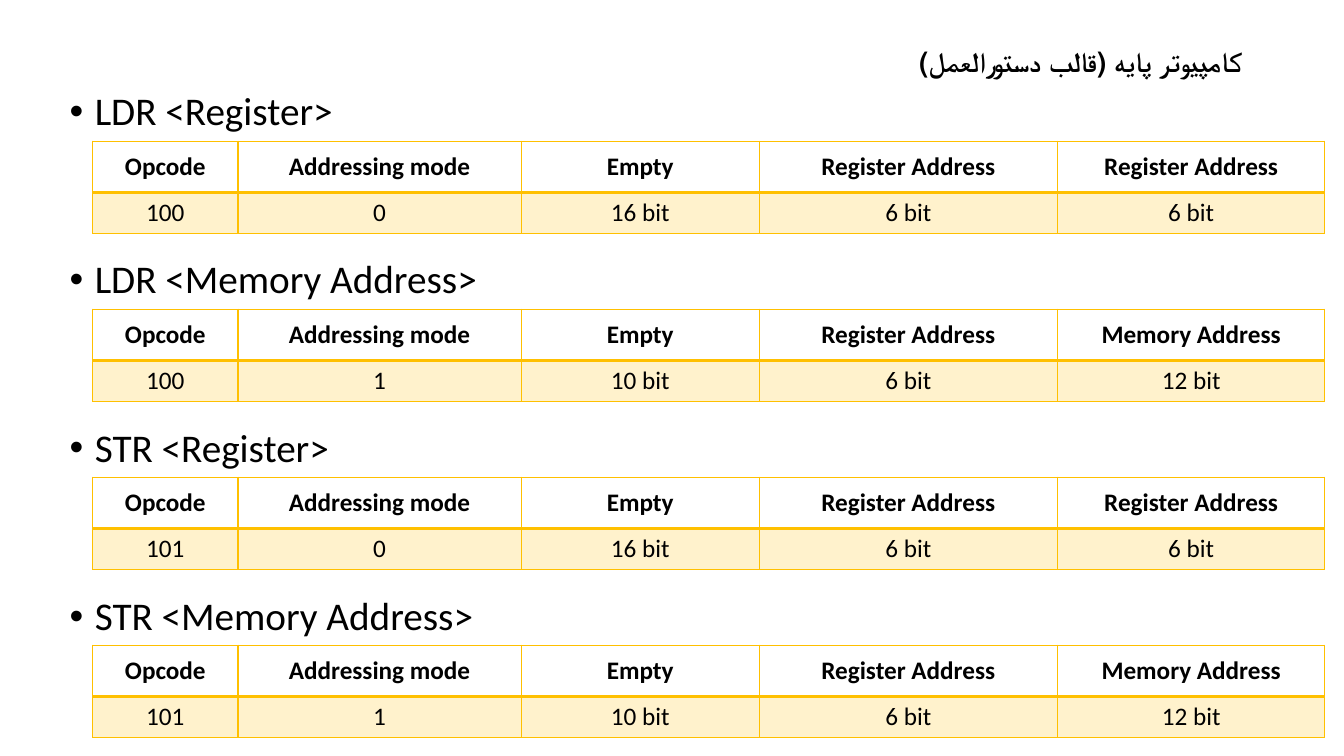
from lxml import etree
from pptx import Presentation
from pptx.dml.color import RGBColor
from pptx.enum import text
from pptx.oxml import ns
from pptx.util import Inches, Pt

BLACK = RGBColor(0x00, 0x00, 0x00)
GOLD = RGBColor(0xFF, 0xC0, 0x00)
FONT = "Calibri"
COLUMN_WIDTHS = (1.44, 2.81, 2.36, 2.96, 2.65)
ROW_HEIGHTS = (0.51, 0.41)
TABLE_PITCH = 5 / 3
INSTRUCTIONS = (
    ("LDR <Register>", "Register Address", ("100", "0", "16 bit", "6 bit", "6 bit")),
    ("LDR <Memory Address>", "Memory Address", ("100", "1", "10 bit", "6 bit", "12 bit")),
    ("STR <Register>", "Register Address", ("101", "0", "16 bit", "6 bit", "6 bit")),
    ("STR <Memory Address>", "Memory Address", ("101", "1", "10 bit", "6 bit", "12 bit")),
)


def place(shape, left, top, width, height):
    """Move a placeholder to a box given in inches."""
    shape.left, shape.top = Inches(left), Inches(top)
    shape.width, shape.height = Inches(width), Inches(height)


def style_font(paragraph, size, bold=False):
    """Apply the slide's font to a paragraph."""
    font = paragraph.font
    font.name, font.size, font.bold = FONT, Pt(size), bold
    font.color.rgb = BLACK


def add_title(slide, left, top, width, height):
    """Fill the title placeholder with right-to-left text."""
    title = slide.shapes.title
    place(title, left, top, width, height)
    frame = title.text_frame
    frame.text = "کامپیوتر پایه (قالب دستورالعمل)"
    frame.auto_size = text.MSO_AUTO_SIZE.NONE
    frame.vertical_anchor = text.MSO_ANCHOR.MIDDLE
    paragraph = frame.paragraphs[0]
    paragraph.alignment = text.PP_ALIGN.RIGHT
    paragraph.line_spacing = 0.9
    paragraph._p.get_or_add_pPr().set("rtl", "1")
    style_font(paragraph, 20, True)


def add_instruction_list(slide, left, top, width, height):
    """Fill the body placeholder with one spaced bullet per instruction."""
    body = slide.placeholders[1]
    place(body, left, top, width, height)
    frame = body.text_frame
    frame.text = "\n".join(name for name, _, _ in INSTRUCTIONS)
    frame.auto_size = text.MSO_AUTO_SIZE.NONE
    for index, paragraph in enumerate(frame.paragraphs):
        paragraph.line_spacing = 0.9
        paragraph.space_before = Pt(90 if index else 0)
        properties = paragraph._p.get_or_add_pPr()
        properties.set("marL", str(Inches(0.25)))
        properties.set("indent", str(Inches(-0.25)))
        style_font(paragraph, 28)


def add_border(cell, side, width):
    """Draw one gold border of a cell."""
    line = etree.SubElement(cell._tc.get_or_add_tcPr(), ns.qn(f"a:ln{side}"), w=str(Pt(width)))
    fill = etree.SubElement(line, ns.qn("a:solidFill"))
    etree.SubElement(fill, ns.qn("a:srgbClr"), val=str(GOLD))


def fill_cell(cell, value, is_header):
    """Write and format one cell of an instruction table."""
    cell.text = value
    cell.vertical_anchor = text.MSO_ANCHOR.MIDDLE
    paragraph = cell.text_frame.paragraphs[0]
    paragraph.alignment = text.PP_ALIGN.CENTER
    style_font(paragraph, 18, is_header)
    thick_side = "B" if is_header else "T"
    for side in "LRTB":
        add_border(cell, side, 2 if side == thick_side else 1)
    if is_header:
        cell.fill.background()
    else:
        cell.fill.solid()
        cell.fill.fore_color.rgb = GOLD
        color = cell._tc.tcPr.find(ns.qn("a:solidFill"))[0]
        etree.SubElement(color, ns.qn("a:alpha"), val="20000")


def add_instruction_table(slide, left, top, address, values):
    """Add the format table of one instruction."""
    headers = ("Opcode", "Addressing mode", "Empty", "Register Address", address)
    table = slide.shapes.add_table(
        len(ROW_HEIGHTS), len(COLUMN_WIDTHS), Inches(left), Inches(top),
        Inches(sum(COLUMN_WIDTHS)), Inches(sum(ROW_HEIGHTS))).table
    table.horz_banding = False
    for column, width in zip(table.columns, COLUMN_WIDTHS):
        column.width = Inches(width)
    for row, height, row_values in zip(table.rows, ROW_HEIGHTS, (headers, values)):
        row.height = Inches(height)
        for cell, value in zip(row.cells, row_values):
            fill_cell(cell, value, row_values is headers)


def main():
    """Build the instruction format slide."""
    presentation = Presentation()
    presentation.slide_width, presentation.slide_height = Inches(13.33), Inches(7.5)
    slide = presentation.slides.add_slide(presentation.slide_layouts[1])
    add_title(slide, 0.92, 0.4, 11.5, 0.46)
    add_instruction_list(slide, 0.59, 0.86, 11.5, 5.89)
    for index, (_, address, values) in enumerate(INSTRUCTIONS):
        add_instruction_table(slide, 0.92, 1.4 + index * TABLE_PITCH, address, values)
    presentation.save("out.pptx")


if __name__ == "__main__":
    main()
